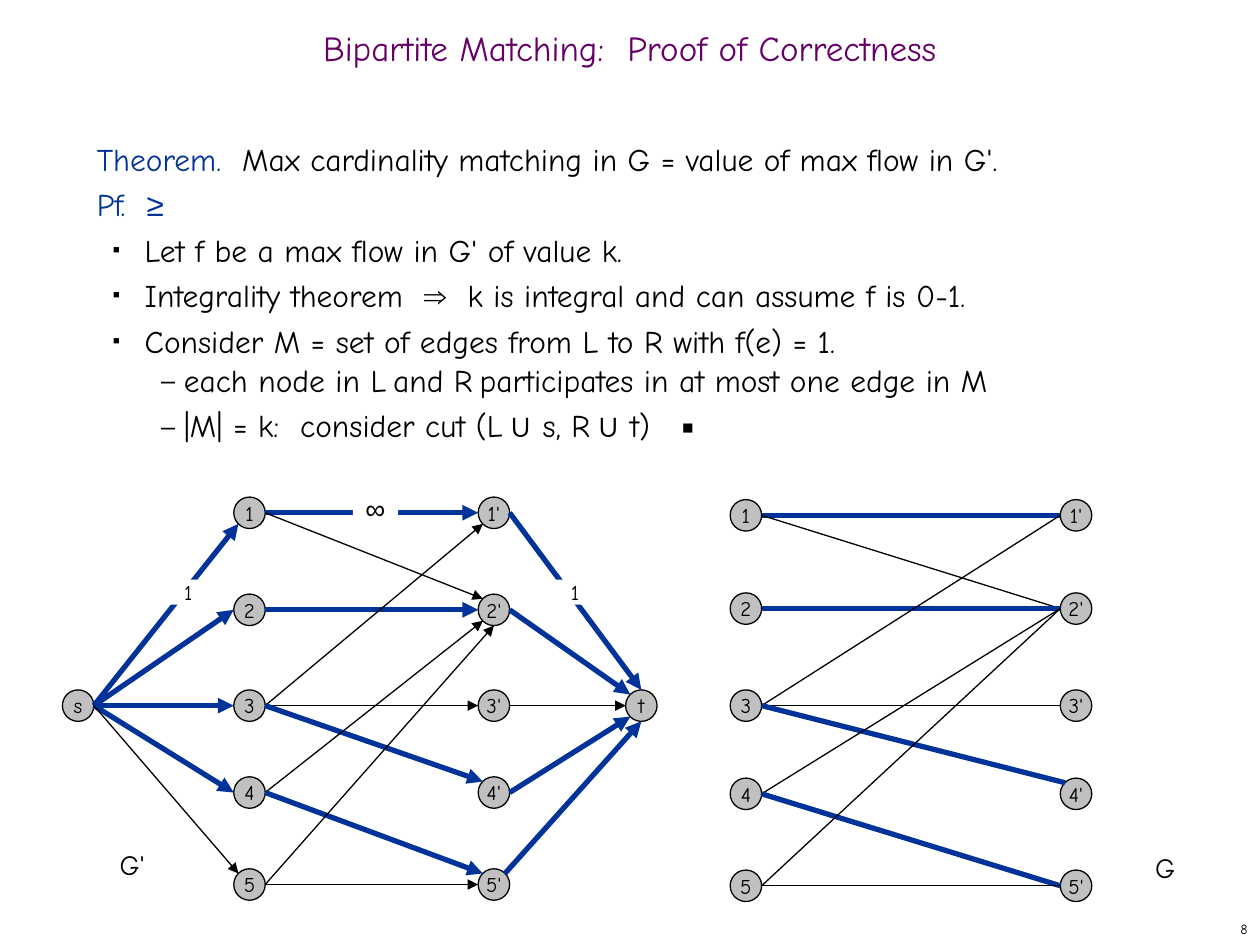
from lxml import etree
from pptx import Presentation
from pptx.dml.color import RGBColor
from pptx.enum.shapes import MSO_CONNECTOR as Link, MSO_SHAPE as Preset
from pptx.enum.text import MSO_ANCHOR as Anchor, PP_ALIGN as Align
from pptx.oxml.ns import qn
from pptx.util import Inches, Pt

BLACK, BLUE, PURPLE, GRAY, WHITE = "000000", "003399", "660066", "C0C0C0", "FFFFFF"
COLUMNS, ROWS = 100, 75  # grid over the whole slide
NODE = 2.5  # node diameter in grid units
DIAGONAL = 0.35  # offset of the diagonal contact points, in diameters

# Contact points on a node, as offsets from its centre in diameters
SITES = {
    "left": (-0.5, 0), "right": (0.5, 0), "top": (0, -0.5), "bottom": (0, 0.5),
    "top left": (-DIAGONAL, -DIAGONAL), "bottom left": (-DIAGONAL, DIAGONAL),
    "top right": (DIAGONAL, -DIAGONAL),
}


def rgb(code):
    return RGBColor.from_string(code)


def add_xml(parent, tag, **attributes):
    return etree.SubElement(parent, qn(tag), attributes)


class Board:
    """Holds the style and the current slide; lengths are grid units."""

    font, math_font = "Comic Neue", "Arial"

    def __init__(self, deck):
        self.slide = deck.slides.add_slide(deck.slide_layouts[6])
        self.column = deck.slide_width / COLUMNS
        self.row = deck.slide_height / ROWS

    def place(self, x, y):
        return round(x * self.column), round(y * self.row)

    def style(self, font, size, color=BLACK, name=None):
        font.size, font.name = Pt(size), name or self.font
        font.color.rgb = rgb(color)

    def text_box(self, x, y, width, height, anchor=Anchor.TOP):
        box = self.slide.shapes.add_textbox(*self.place(x, y), *self.place(width, height))
        box.text_frame.word_wrap = True
        box.text_frame.vertical_anchor = anchor
        return box

    def label(self, shape, words, size, color=BLACK, align=Align.LEFT, name=None):
        paragraph = shape.text_frame.paragraphs[0]
        paragraph.text, paragraph.alignment = words, align
        self.style(paragraph.font, size, color, name)
        return paragraph

    def shape(self, preset, x, y, width, height, fill):
        shape = self.slide.shapes.add_shape(preset, *self.place(x, y), *self.place(width, height))
        shape.shadow.inherit = False
        shape.fill.solid()
        shape.fill.fore_color.rgb = rgb(fill)
        shape.line.fill.background()
        return shape

    def node(self, name, x, y):
        circle = self.shape(Preset.OVAL, x - NODE / 2, y - NODE / 2, NODE, NODE, GRAY)
        circle.line.color.rgb, circle.line.width = rgb(BLACK), Pt(0.75)
        circle.text_frame.word_wrap = False
        circle.text_frame.vertical_anchor = Anchor.MIDDLE
        self.label(circle, name, 12, align=Align.CENTER)

    def edge(self, start, end, matched, arrow):
        line = self.slide.shapes.add_connector(Link.STRAIGHT, *self.place(*start), *self.place(*end))
        line.line.color.rgb = rgb(BLUE if matched else BLACK)
        line.line.width = Pt(3 if matched else 0.75)
        if arrow:
            add_xml(line.line._get_or_add_ln(), "a:tailEnd", type="triangle")
        add_xml(line._element.spPr, "a:effectLst")

    def graph(self, nodes, edges, arrows):
        for name, centre in nodes.items():
            self.node(name, *centre)
        for start, end, matched, *sites in edges:
            end_site, start_site = sites + ["left", "right"][len(sites):]
            ends = [
                [c + NODE * offset for c, offset in zip(nodes[name], SITES[site])]
                for name, site in ((start, start_site), (end, end_site))
            ]
            self.edge(*ends, matched, arrows)

    def capacity(self, words, x, y, width, height, size, name=None):
        patch = self.shape(Preset.RECTANGLE, x, y, width, height, WHITE)
        frame = patch.text_frame
        frame.margin_left = frame.margin_right = frame.margin_top = frame.margin_bottom = 0
        frame.vertical_anchor, frame.word_wrap = Anchor.TOP, True
        self.label(patch, words, size, align=Align.CENTER, name=name)

    def bullet(self, paragraph, mark, percent, left, hanging):
        properties = paragraph._p.get_or_add_pPr()
        properties.set("marL", str(Inches(left)))
        properties.set("indent", str(-Inches(hanging)))
        add_xml(add_xml(properties, "a:buClr"), "a:srgbClr", val=BLACK)
        add_xml(properties, "a:buSzPct", val=str(percent * 1000))
        add_xml(properties, "a:buFont", typeface=self.math_font)
        add_xml(properties, "a:buChar", char=mark)

    def proof(self, box, lines):
        frame = box.text_frame
        for number, (level, runs) in enumerate(lines):
            paragraph = frame.add_paragraph() if number else frame.paragraphs[0]
            paragraph.line_spacing = Pt(26)
            if level:
                paragraph.level = level
                self.bullet(paragraph, *BULLETS[level])
            self.style(paragraph.font, 18)
            for words, kind in runs:
                run = paragraph.add_run()
                run.text = words
                if "blue" in kind:
                    run.font.color.rgb = rgb(BLUE)
                if "math" in kind:
                    run.font.name = self.math_font
                if "low" in kind:
                    run.font.size = Pt(20)
                    run._r.get_or_add_rPr().set("baseline", "-25000")


# Mark, size in percent, left indent and hanging in inches, by level
BULLETS = {1: ("■", 35, 0.38, 0.25), 2: ("–", 80, 0.69, 0.18)}
LOW_SPACE, UNION = (" ", "low"), ("∪", "math")
PROOF = [
    (0, [("Theorem.  ", "blue"), ("Max cardinality matching in G = value of max flow in G'.", "")]),
    (0, [("Pf.  ", "blue"), ("≥", "blue math")]),
    (1, [("Let f be a max flow in G' of value k.", "")]),
    (1, [("Integrality theorem  ", ""), ("⇒", "math"), ("  k is integral and can assume f is 0-1.", "")]),
    (1, [("Consider M = set of edges from L to R with f(e) = 1.", "")]),
    (2, [("each node in L", ""), LOW_SPACE, ("and R", ""), LOW_SPACE,
         ("participates in at most one edge in M", "")]),
    (2, [("|M| = k:  consider cut (L", ""), LOW_SPACE, UNION, (" s, R", ""), LOW_SPACE, UNION,
         (" t)   ▪", "")]),
]


def two_sides(left, right, heights):
    """Nodes 1..5 in the left column and 1'..5' in the right one."""
    return {
        f"{number}{prime}": (x, y)
        for x, prime in ((left, ""), (right, "'"))
        for number, y in enumerate(heights, 1)
    }


# Edges: start, end, in the matching or flow, contact at end, contact at start
FLOW_EDGES = [
    ("s", "1", True, "bottom left"), ("s", "2", True), ("s", "3", True),
    ("s", "4", True), ("s", "5", False, "top left"),
    ("1", "1'", True), ("1", "2'", False, "top left"), ("2", "2'", True),
    ("3", "1'", False, "bottom left"), ("3", "3'", False), ("3", "4'", True, "top left"),
    ("4", "2'", False, "bottom left"), ("4", "5'", True, "top left"),
    ("5", "2'", False, "bottom"), ("5", "5'", False),
    ("1'", "t", True, "top"), ("2'", "t", True, "top left"), ("3'", "t", False),
    ("4'", "t", True, "bottom left"), ("5'", "t", True, "bottom", "top right"),
]
MATCHING_EDGES = [
    ("1", "1'", True), ("1", "2'", False), ("2", "2'", True),
    ("3", "1'", False), ("3", "3'", False), ("3", "4'", True, "top left"),
    ("4", "2'", False), ("4", "5'", True), ("5", "2'", False), ("5", "5'", False),
]


def main():
    deck = Presentation()
    deck.slide_width, deck.slide_height = Inches(10), Inches(7.5)
    board = Board(deck)

    # Title and proof
    board.proof(board.text_box(6.7, 10, 85.8, 59.2), PROOF)
    title = board.text_box(0, 1.7, 100, 5, Anchor.MIDDLE)
    board.label(title, "Bipartite Matching:  Proof of Correctness", 20, PURPLE,
                Align.CENTER).line_spacing = 0.7

    # Bipartite graph G
    board.graph(two_sides(59.2, 85.4, (40.9, 48.3, 56, 63, 70.3)), MATCHING_EDGES, arrows=False)
    board.label(board.text_box(90.7, 67, 6.1, 3.7), "G", 16)

    # Flow network G' with its capacities
    network = two_sides(19.8, 39.2, (40.7, 48.4, 56, 62.9, 70.2))
    network |= {"s": (6.2, 56), "t": (50.9, 56)}
    board.graph(network, FLOW_EDGES, arrows=True)
    for x in (13.1, 43.8):
        board.capacity("1", x, 46, 3.7, 2, 12)
    board.capacity("∞", 28, 39, 3.6, 2.7, 16, board.math_font)
    board.label(board.text_box(8.5, 66.8, 6.1, 3.7), "G'", 16)

    # Slide number
    board.label(board.text_box(79.2, 72.5, 20.8, 2.5, Anchor.MIDDLE), "8", 8, align=Align.RIGHT)

    deck.save("out.pptx")


if __name__ == "__main__":
    main()
